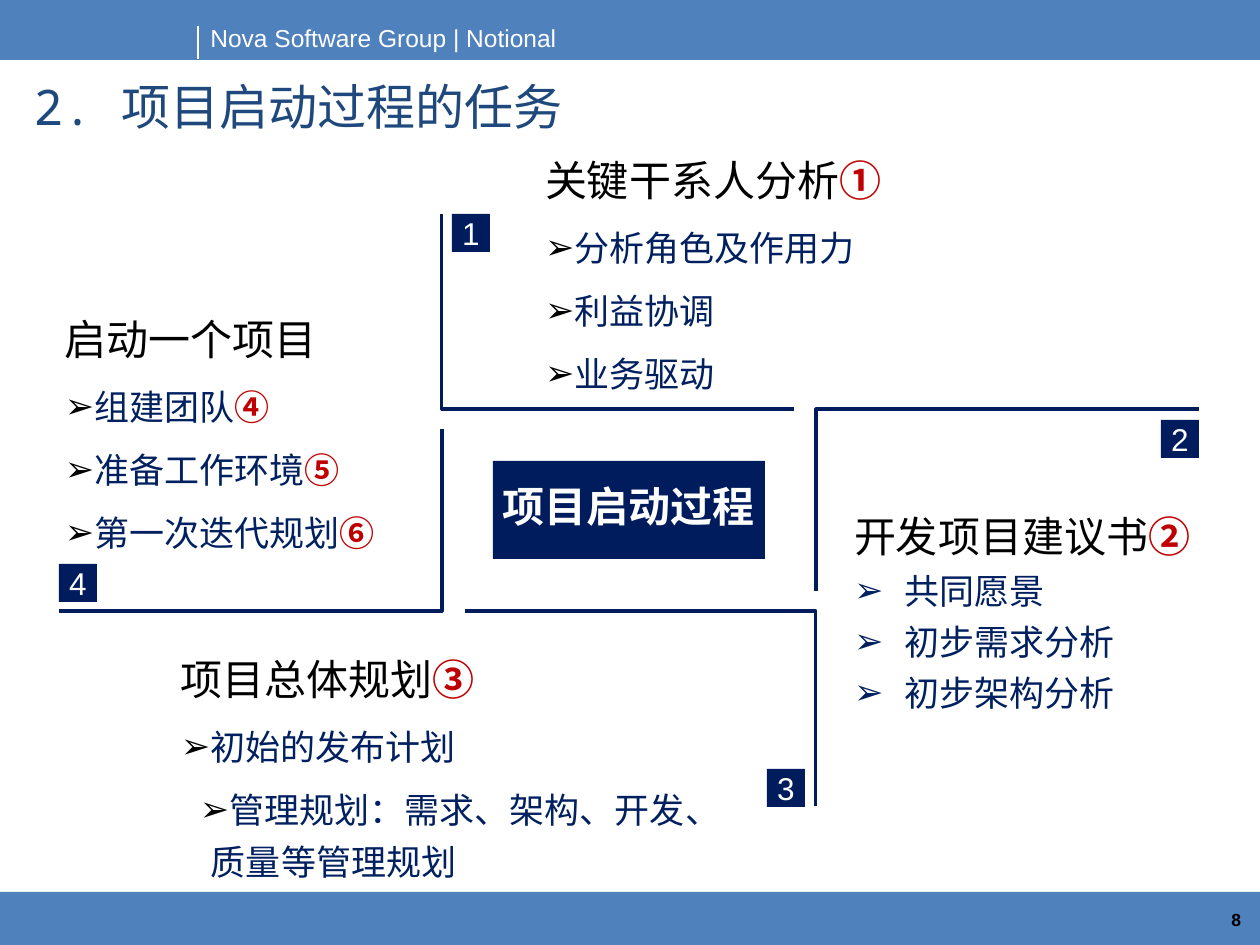
from lxml import etree
from pptx import Presentation
from pptx.dml.color import RGBColor
from pptx.enum.shapes import MSO_CONNECTOR, MSO_SHAPE
from pptx.enum.text import MSO_ANCHOR, PP_ALIGN
from pptx.oxml.ns import qn
from pptx.util import Pt

RECTANGLE = MSO_SHAPE.RECTANGLE
STRAIGHT = MSO_CONNECTOR.STRAIGHT
LEFT, CENTER, RIGHT = PP_ALIGN.LEFT, PP_ALIGN.CENTER, PP_ALIGN.RIGHT
TOP, MIDDLE = MSO_ANCHOR.TOP, MSO_ANCHOR.MIDDLE

PX = 914400 / 126
BLUE, NAVY, TEXT_NAVY = "4F81BD", "001C5C", "002060"
RED, BLACK, WHITE = "C00000", "000000", "FFFFFF"
color = RGBColor.from_string


def emu(*lengths):
    return [round(length * PX) for length in lengths]


def add_text(place, text, size, hex_color, inset=None, align=LEFT, bold=False):
    box = page.shapes.add_textbox(*emu(*place))
    frame = box.text_frame
    frame.word_wrap = True
    if inset is not None:
        frame.margin_left = frame.margin_right = inset
        frame.margin_top = frame.margin_bottom = inset
    para = frame.paragraphs[0]
    para.text = text
    para.alignment = align
    para.font.name, para.font.size, para.font.bold = "Arial", Pt(size), bold
    para.font.color.rgb = color(hex_color)


deck = Presentation()
deck.slide_width, deck.slide_height = emu(1260, 945)
page = deck.slides.add_slide(deck.slide_layouts[5])

# Bands, centre block and number badges
blocks = [
    ((0, 892, 1260, 53), BLUE, ""),
    ((0, 0, 1260, 60), BLUE, ""),
    ((493, 461, 272, 98), NAVY, ""),
    ((452, 214, 38, 38), NAVY, "1"),
    ((1161, 420, 38, 38), NAVY, "2"),
    ((767, 769, 38, 38), NAVY, "3"),
    ((59, 564, 38, 38), NAVY, "4"),
]
for place, fill, number in blocks:
    block = page.shapes.add_shape(RECTANGLE, *emu(*place))
    block.shadow.inherit = False
    block.fill.solid()
    block.fill.fore_color.rgb = color(fill)
    block.line.fill.background()
    if number:
        frame = block.text_frame
        frame.margin_left = frame.margin_right = 0
        frame.margin_top = frame.margin_bottom = 0
        frame.word_wrap = False
        frame.vertical_anchor = MIDDLE
        para = frame.paragraphs[0]
        para.text = number
        para.alignment = CENTER
        para.font.name, para.font.size = "Arial", Pt(18)
        para.font.color.rgb = color(WHITE)

# Header text with its divider
add_text((198, 17, 455, 42), "Nova Software Group | Notional", 14, WHITE)
divider = page.shapes.add_connector(STRAIGHT, *emu(198, 26, 198, 59))
divider.line.color.rgb = color(WHITE)
divider.line.width = Pt(0.75)
etree.SubElement(divider.element.spPr, qn("a:effectLst"))

# Corner brackets of the four quadrants
brackets = [
    [(442, 214), (442, 409), (794, 409)],
    [(1199, 409), (816, 409), (816, 591)],
    [(816, 806), (816, 611), (465, 611)],
    [(59, 611), (442, 611), (442, 429)],
]
for start, *others in brackets:
    builder = page.shapes.build_freeform(*start, scale=PX)
    builder.add_line_segments(others, close=False)
    bracket = builder.convert_to_shape()
    bracket.shadow.inherit = False
    bracket.fill.background()
    bracket.line.color.rgb = color(NAVY)
    bracket.line.width = Pt(1.75)

# Task lists: place, hanging indent, line spacing, space before, bullet colour,
# then rows of (text, circled mark)
lists = [
    ((545, 142, 525, 261), 0, 1.25, 6, BLACK,
     [("关键干系人分析", "①"), ("分析角色及作用力", ""), ("利益协调", ""),
      ("业务驱动", "")]),
    ((854, 498, 344, 223), 50, 1, 5, TEXT_NAVY,
     [("开发项目建议书", "②"), ("共同愿景", ""), ("初步需求分析", ""),
      ("初步架构分析", "")]),
    ((181, 641, 529, 248), 0, 1.25, 6, BLACK,
     [("项目总体规划", "③"), ("初始的发布计划", ""),
      ("管理规划：需求、架构、开发、质量等管理规划", "")]),
    ((65, 301, 372, 261), 0, 1.25, 6, BLACK,
     [("启动一个项目", ""), ("组建团队", "④"), ("准备工作环境", "⑤"),
      ("第一次迭代规划", "⑥")]),
]
for place, hanging, spacing, before, bullet_color, rows in lists:
    box = page.shapes.add_textbox(*emu(*place))
    frame = box.text_frame
    frame.word_wrap = True
    frame.margin_left = frame.margin_right = 0
    frame.margin_top = frame.margin_bottom = 0
    for index, (text, mark) in enumerate(rows):
        para = frame.paragraphs[0] if index == 0 else frame.add_paragraph()
        # The long planning item is set in from the others
        is_long = text.startswith("管理规划")
        margin, indent = emu(30, -11) if is_long else emu(hanging, -hanging)
        props = para._p.get_or_add_pPr()
        props.set("marL", str(margin))
        props.set("indent", str(indent))
        if index:
            tint = etree.SubElement(props, qn("a:buClr"))
            etree.SubElement(tint, qn("a:srgbClr"), val=bullet_color)
            etree.SubElement(props, qn("a:buFont"), typeface="Arial")
            etree.SubElement(props, qn("a:buChar"), char="➢")
            para.space_before = Pt(before)
        para.line_spacing = spacing if index else 1.25
        para.font.name = "Arial"
        para.font.size = Pt(20 if index else 24)
        span = para.add_run()
        span.text = text
        span.font.color.rgb = color(TEXT_NAVY if index else BLACK)
        if mark:
            span = para.add_run()
            span.text = mark
            span.font.bold = True
            span.font.color.rgb = color(RED)

# Centre label
add_text((490, 474, 292, 64), "项目启动过程", 24, WHITE, bold=True)

# Title
title = page.shapes.title
title.left, title.top, title.width, title.height = emu(21, 77, 1220, 65)
title.text_frame.vertical_anchor = TOP
para = title.text_frame.paragraphs[0]
para.text = "2. 项目启动过程的任务"
para.alignment = LEFT
para.line_spacing = 0.9
para.font.name, para.font.size = "Noto Sans Mono", Pt(28)
para.font.color.rgb = color("1F497D")

# Page number
add_text((1148, 909, 93, 21), "8", 10, BLACK, inset=0, align=RIGHT, bold=True)

deck.save("out.pptx")
